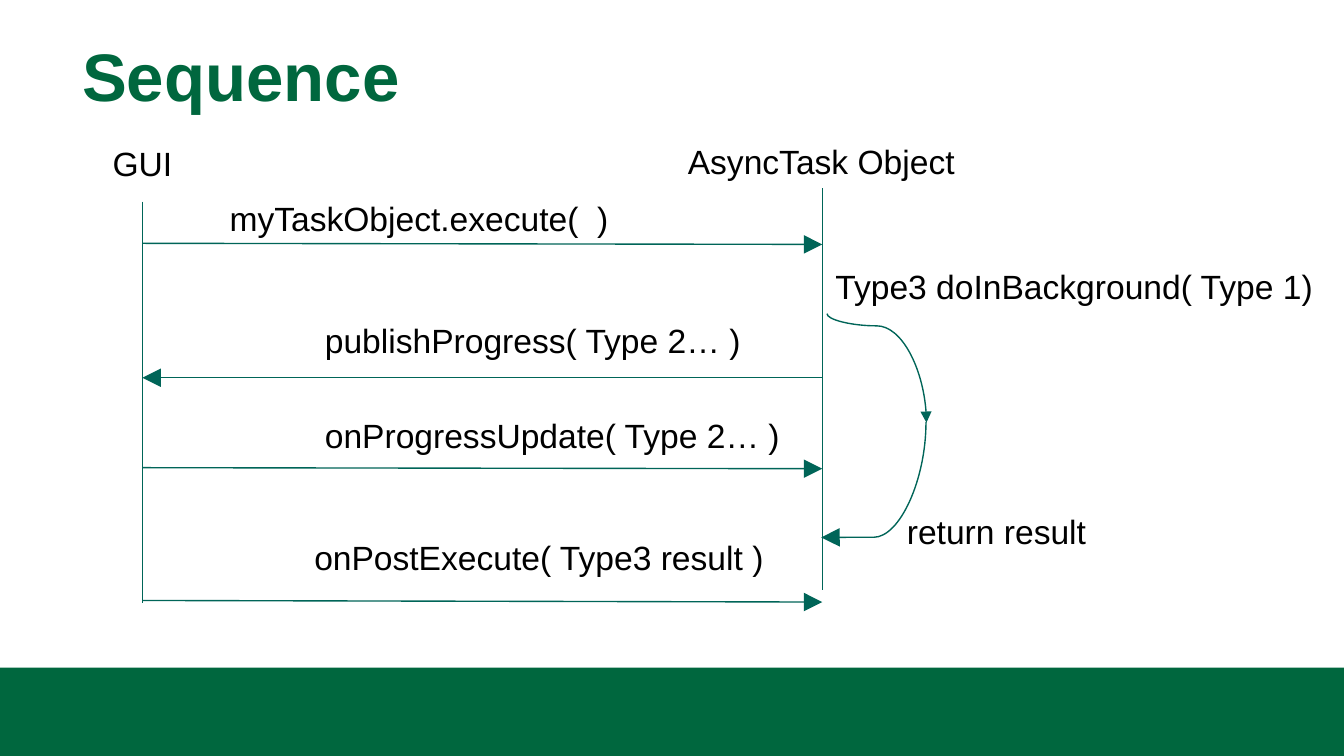
from lxml.etree import SubElement
from pptx import Presentation
from pptx.dml.color import RGBColor
from pptx.enum.shapes import MSO_CONNECTOR, MSO_SHAPE
from pptx.enum.text import MSO_ANCHOR, PP_ALIGN
from pptx.oxml.ns import qn
from pptx.util import Cm, Pt

GREEN = RGBColor(0x00, 0x67, 0x3E)
TEAL = RGBColor(0x00, 0x65, 0x58)
BLACK = RGBColor(0, 0, 0)
GUI_X, TASK_X = 2.69, 15.54
LABEL_HEIGHT = 1.02

LIFELINES = [(GUI_X, 3.81, 11.4), (TASK_X, 3.56, 11.15)]

# start x, start y, end x, end y
MESSAGES = [
    (GUI_X, 4.6, TASK_X, 4.62),
    (TASK_X, 7.14, GUI_X, 7.14),
    (GUI_X, 8.84, TASK_X, 8.86),
    (GUI_X, 11.35, TASK_X, 11.38),
]

# text, left, top, width
LABELS = [
    ("GUI", 1.88, 2.57, 1.65),
    ("AsyncTask Object", 12.75, 2.54, 5.61),
    ("Type3 doInBackground( Type 1)", 15.54, 4.9, 9.63),
    ("publishProgress( Type 2… )", 5.89, 5.92, 8.46),
    ("onProgressUpdate( Type 2… )", 5.89, 7.72, 9.19),
    ("onPostExecute( Type3 result )", 5.69, 10.03, 9.45),
    ("return result", 16.89, 9.53, 3.94),
]


def write_text(frame, text, *, size=18, color=BLACK, bold=False, wrap=False):
    frame.word_wrap = wrap
    frame.vertical_anchor = MSO_ANCHOR.TOP
    paragraph = frame.paragraphs[0]
    paragraph.alignment = PP_ALIGN.LEFT
    run = paragraph.add_run()
    run.text = text
    run.font.name = "Arial"
    run.font.size = Pt(size)
    run.font.bold = bold
    run.font.color.rgb = color


def add_title(slide, text):
    title = slide.shapes.title
    title.left, title.top, title.width, title.height = (
        Cm(1.3), Cm(0.53), Cm(22.81), Cm(2.49))
    write_text(title.text_frame, text, size=36, color=GREEN, bold=True, wrap=True)


def add_footer_bar(slide):
    bar = slide.shapes.add_shape(
        MSO_SHAPE.RECTANGLE, 0, Cm(12.62), Cm(25.4), Cm(1.67))
    bar.shadow.inherit = False
    bar.fill.solid()
    bar.fill.fore_color.rgb = GREEN
    bar.line.fill.background()


def add_label(slide, text, left, top, width, **text_format):
    box = slide.shapes.add_textbox(Cm(left), Cm(top), Cm(width), Cm(LABEL_HEIGHT))
    write_text(box.text_frame, text, **text_format)


def add_line(slide, x1, y1, x2, y2, *, kind=MSO_CONNECTOR.STRAIGHT, head=None):
    """Draw a connector; head is the arrowhead size at its end ("med" or "lg")."""
    line = slide.shapes.add_connector(kind, Cm(x1), Cm(y1), Cm(x2), Cm(y2))
    line.line.color.rgb = TEAL
    line.line.width = Pt(0.75)
    properties = line._element.spPr
    if head:
        SubElement(properties.find(qn("a:ln")), qn("a:tailEnd"),
                   type="triangle", w=head, len=head)
    SubElement(properties, qn("a:effectLst"))
    return line


def add_curve(slide, x1, y1, x2, y2, *, degrees, bend, head):
    """Draw a curved connector turned by degrees, with its bend in percent."""
    curve = add_line(slide, x1, y1, x2, y2, kind=MSO_CONNECTOR.CURVE, head=head)
    properties = curve._element.spPr
    properties.find(qn("a:xfrm")).set("rot", str(degrees * 60000))
    adjustments = properties.find(qn("a:prstGeom")).get_or_add_avLst()
    SubElement(adjustments, qn("a:gd"), name="adj1",
               fmla=f"val {round(bend * 1000)}")


def main():
    presentation = Presentation()
    presentation.slide_width, presentation.slide_height = Cm(25.4), Cm(14.29)
    slide = presentation.slides.add_slide(presentation.slide_layouts[5])

    add_footer_bar(slide)
    add_title(slide, "Sequence")
    for x, top, bottom in LIFELINES:
        add_line(slide, x, top, x, bottom)
    for message in MESSAGES:
        add_line(slide, *message, head="lg")
    add_curve(slide, 15.42, 8.08, 17.6, 10.06, degrees=90, bend=99.9, head="lg")
    add_curve(slide, 17.6, 6.02, 15.54, 7.9, degrees=270, bend=11.2, head="med")
    add_label(slide, "myTaskObject.execute(  )", 4.09, 3.61, 9.5, wrap=True)
    for label in LABELS:
        add_label(slide, *label)

    presentation.save("out.pptx")


if __name__ == "__main__":
    main()
